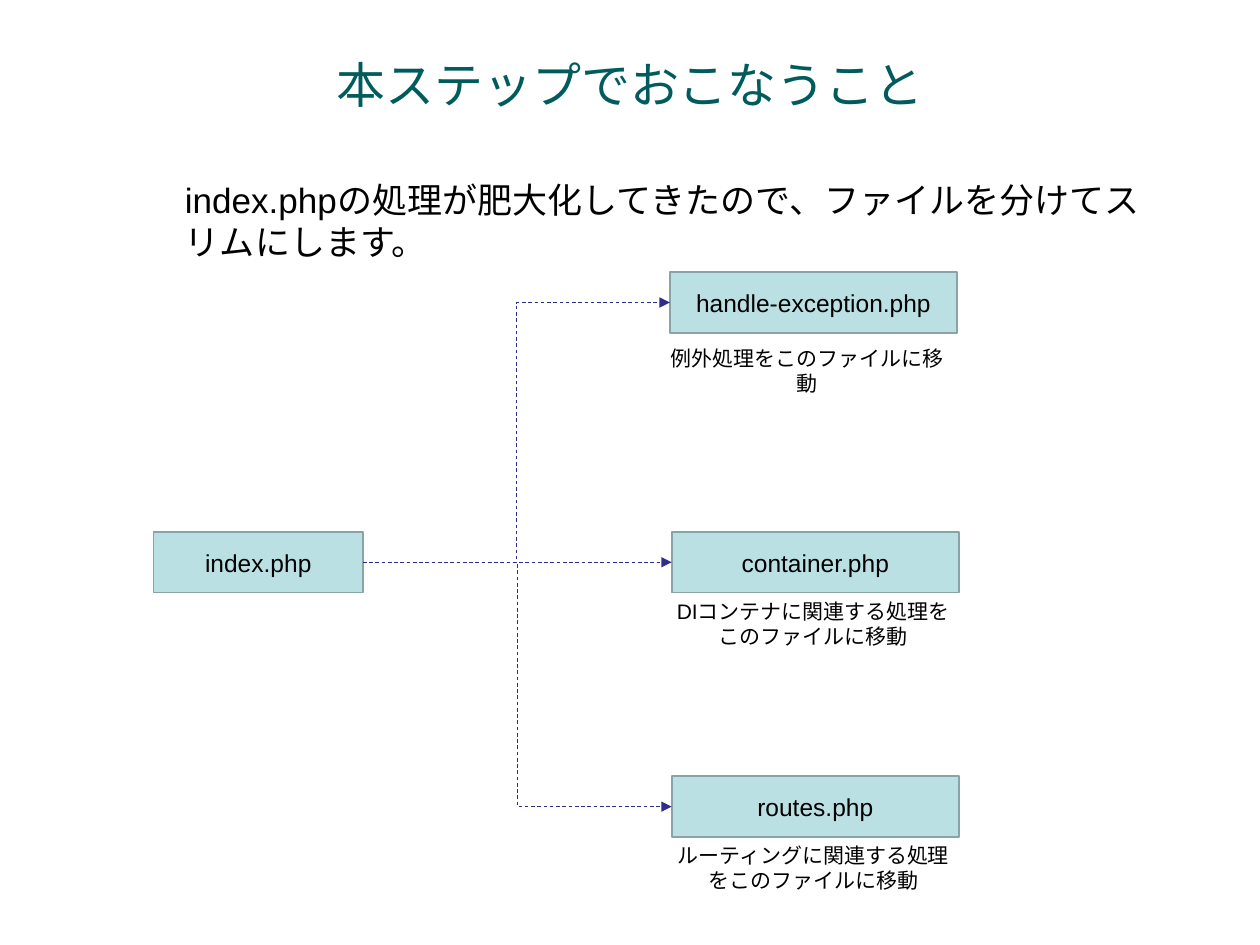
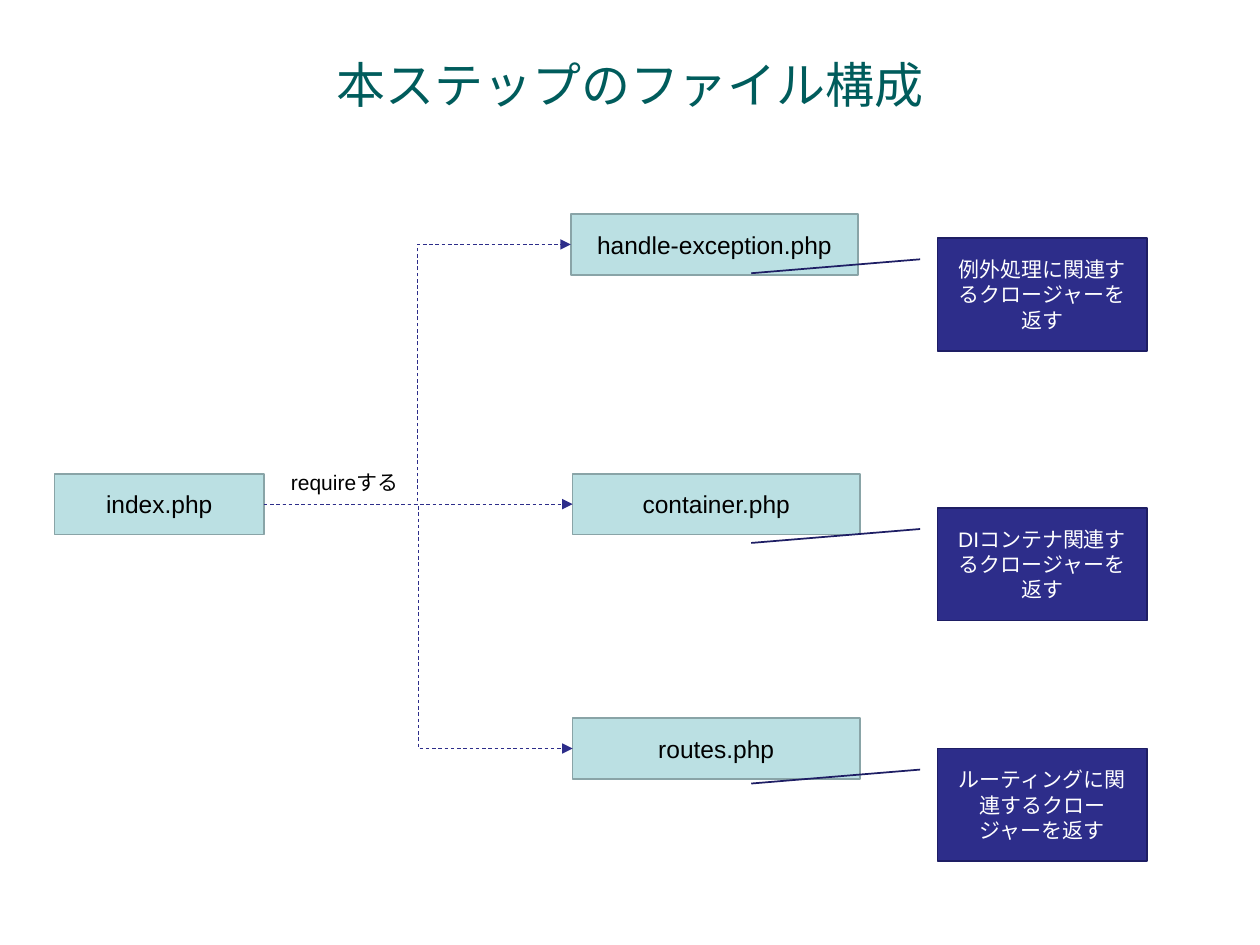
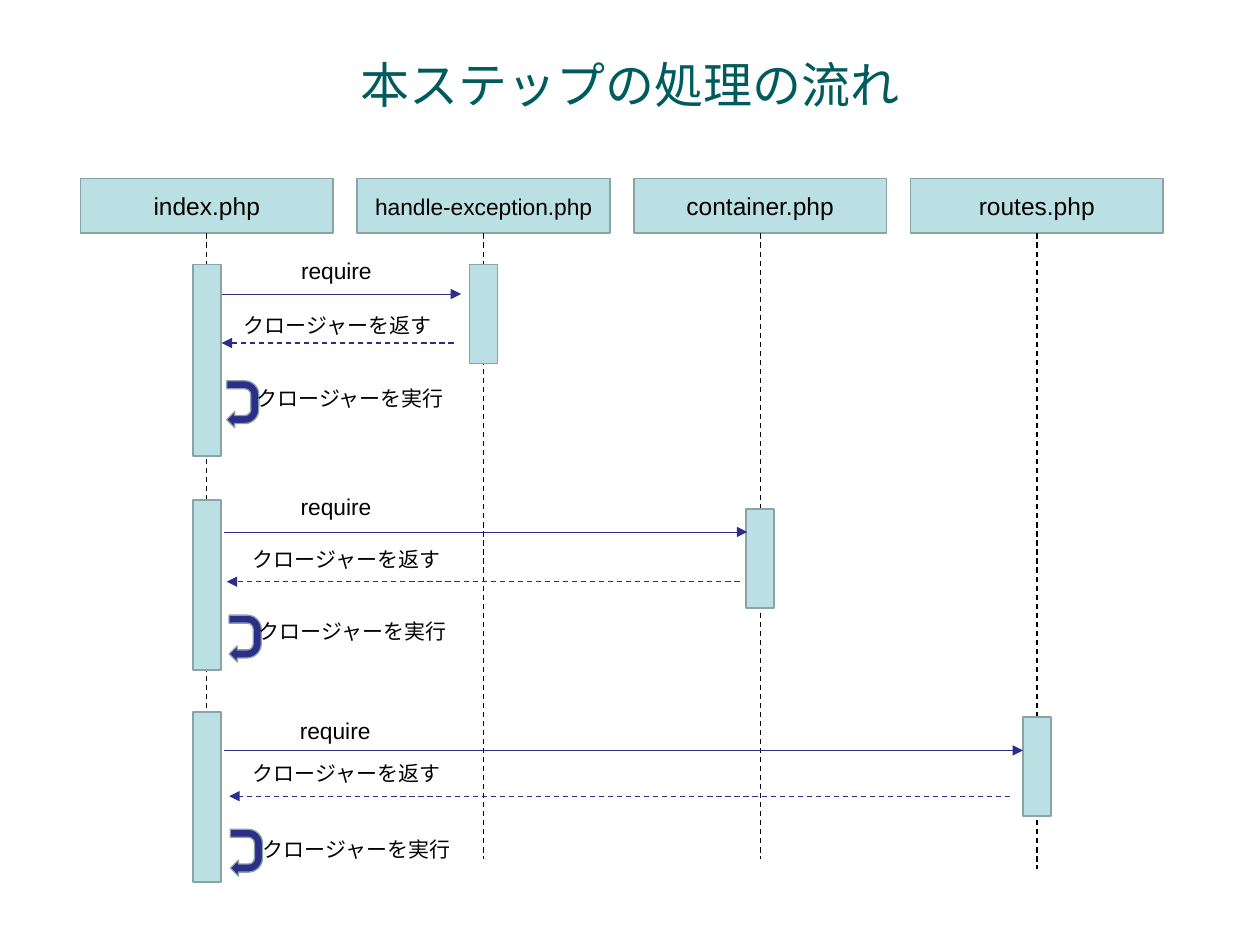
from dataclasses import dataclass

from pptx import Presentation
from pptx.dml.color import RGBColor
from pptx.enum.dml import MSO_LINE
from pptx.enum.shapes import MSO_CONNECTOR, MSO_SHAPE
from pptx.enum.text import MSO_ANCHOR, MSO_AUTO_SIZE, PP_ALIGN
from pptx.oxml.ns import qn
from pptx.shapes.autoshape import Shape
from pptx.shapes.connector import Connector
from pptx.slide import Slide
from pptx.text.text import TextFrame
from pptx.util import Pt
from lxml.etree import SubElement

COLORS = {
    "title": "005C5C",
    "text": "000000",
    "light": "FFFFFF",
    "box": "BBE0E3",
    "edge": "89A4A7",
    "navy": "2D2D8A",
    "rim": "1E1E64",
}
FONT = "Arial"
LEFT, RIGHT = 1, 3


@dataclass(frozen=True)
class Area:
    left: float
    top: float
    width: float
    height: float

    def lengths(self) -> tuple[Pt, Pt, Pt, Pt]:
        return Pt(self.left), Pt(self.top), Pt(self.width), Pt(self.height)


@dataclass(frozen=True)
class Branch:
    name: str
    right: float
    down: float


@dataclass(frozen=True)
class Note:
    text: str
    left: float
    top: float


@dataclass(frozen=True)
class Column:
    name: str
    size: float
    end: float


@dataclass(frozen=True)
class Call:
    column: int
    top: float
    height: float
    start: float
    ask: tuple[float, float, float]
    reply: tuple[float, float, float]
    labels: tuple[tuple[float, float], ...]
    loop: tuple[float, float]


BRANCHES = (
    Branch("handle-exception.php", 295, -148.4),
    Branch("container.php", 296, 0),
    Branch("routes.php", 296, 139.6),
)
CAPTIONS = (
    Note("例外処理をこのファイルに移動", 373.7, 193.7),
    Note("DIコンテナに関連する処理をこのファイルに移動", 377.3, 338.4),
    Note("ルーティングに関連する処理をこのファイルに移動", 377.3, 478.1),
)
CALLOUTS = (
    Note("例外処理に関連するクロージャーを返す", 535.7, 136.1),
    Note("DIコンテナ関連するクロージャーを返す", 535.7, 290.2),
    Note("ルーティングに関連するクロージャーを返す", 535.7, 427.7),
)
COLUMNS = (
    Column("index.php", 14, 491),
    Column("handle-exception.php", 13, 491),
    Column("container.php", 14, 491),
    Column("routes.php", 14, 496.8),
)
WORDS = (("require", 13), ("クロージャーを返す", 12), ("クロージャーを実行", 12))
CALLS = (
    Call(1, 151.2, 109.4, 151.2, (126.7, 263.5, 168), (259.2, 126.7, 196),
         ((120.2, 143.3), (121, 175), (128.2, 216.7)), (125.3, 221.8)),
    Call(2, 285.8, 97.2, 290.9, (128.2, 427, 304), (422.6, 129.6, 332.4),
         ((120, 278), (126, 309), (129.6, 350)), (126.7, 355.7)),
    Call(3, 406.8, 97.2, 409.7, (128.2, 584.6, 428.8), (577.4, 131, 455),
         ((119.5, 406), (126, 431.3), (131.8, 474.5)), (127.4, 478.1)),
)


def color(key: str) -> RGBColor:
    return RGBColor.from_string(COLORS[key])


def write(frame: TextFrame, text: str, size: float, key: str = "text",
          align: PP_ALIGN = PP_ALIGN.CENTER) -> None:
    frame.word_wrap = True
    frame.text = text
    para = frame.paragraphs[0]
    para.alignment = align
    para.font.name = FONT
    para.font.size = Pt(size)
    para.font.color.rgb = color(key)


def start(deck: Presentation, title: str) -> Slide:
    slide = deck.slides.add_slide(deck.slide_layouts[5])
    head = slide.shapes.title
    head.left, head.top, head.width, head.height = Area(54, 18, 612, 60).lengths()
    write(head.text_frame, title, 28, "title")
    head.text_frame.vertical_anchor = MSO_ANCHOR.MIDDLE
    return slide


def shape(slide: Slide, area: Area, kind: MSO_SHAPE = MSO_SHAPE.RECTANGLE,
          fill: str = "box", edge: str = "edge", width: float = 1) -> Shape:
    item = slide.shapes.add_shape(kind, *area.lengths())
    item.shadow.inherit = False
    item.fill.solid()
    item.fill.fore_color.rgb = color(fill)
    item.line.color.rgb = color(edge)
    item.line.width = Pt(width)
    item.text_frame.vertical_anchor = MSO_ANCHOR.MIDDLE
    return item


def box(slide: Slide, area: Area, text: str, size: float = 14) -> Shape:
    item = shape(slide, area)
    write(item.text_frame, text, size)
    return item


def label(slide: Slide, area: Area, text: str, size: float = 12,
          align: PP_ALIGN = PP_ALIGN.CENTER) -> None:
    frame = slide.shapes.add_textbox(*area.lengths()).text_frame
    write(frame, text, size, align=align)
    frame.auto_size = MSO_AUTO_SIZE.SHAPE_TO_FIT_TEXT


def link(slide: Slide, kind: MSO_CONNECTOR, ends: tuple[float, float, float, float],
         key: str = "navy", width: float = 0.5, dash: bool = True,
         arrow: bool = True) -> Connector:
    item = slide.shapes.add_connector(kind, *map(Pt, ends))
    item.line.color.rgb = color(key)
    item.line.width = Pt(width)
    if dash:
        item.line.dash_style = MSO_LINE.DASH
    if arrow:
        SubElement(item.line._get_or_add_ln(), qn("a:tailEnd"), type="triangle")
    SubElement(item._element.spPr, qn("a:effectLst"))
    return item


def tree(slide: Slide, left: float, top: float) -> None:
    width, height, span = 119.6, 34.6, 164.2
    root = box(slide, Area(left, top, width, height), "index.php")
    for branch in BRANCHES:
        area = Area(left + branch.right, top + branch.down, span, height)
        leaf = box(slide, area, branch.name)
        ends = (left + width, top + height / 2, area.left, area.top + height / 2)
        line = link(slide, MSO_CONNECTOR.ELBOW, ends)
        line.begin_connect(root, RIGHT)
        line.end_connect(leaf, LEFT)


def goals(deck: Presentation) -> None:
    slide = start(deck, "本ステップでおこなうこと")
    label(slide, Area(98.6, 98.6, 567.4, 55.4),
          "index.phpの処理が肥大化してきたので、ファイルを分けてスリムにします。",
          20, PP_ALIGN.LEFT)
    tree(slide, 87.8, 304)
    for note in CAPTIONS:
        label(slide, Area(note.left, note.top, 175, 36), note.text)


def files(deck: Presentation) -> None:
    slide = start(deck, "本ステップのファイル構成")
    tree(slide, 31.2, 270.8)
    label(slide, Area(149.8, 265, 94.3, 21.6), "requireする")
    for note in CALLOUTS:
        area = Area(note.left, note.top, 119.6, 64.4)
        item = shape(slide, area, MSO_SHAPE.LINE_CALLOUT_1, "navy", "rim")
        for index, value in enumerate((0.188, -0.083, 0.312, -0.89)):
            item.adjustments[index] = value
        write(item.text_frame, note.text, 12, "light")


def flow(deck: Presentation) -> None:
    slide = start(deck, "本ステップの処理の流れ")
    left, top, pitch, width, height, bar = 46, 102, 158.1, 144.4, 31.4, 16
    axes = [left + pitch * index + width / 2 for index in range(len(COLUMNS))]
    for axis, column in zip(axes, COLUMNS):
        box(slide, Area(axis - width / 2, top, width, height), column.name, column.size)
        link(slide, MSO_CONNECTOR.STRAIGHT, (axis, top + height, axis, column.end),
             "text", 0.75, arrow=False)
    for call in CALLS:
        shape(slide, Area(axes[0] - bar / 2, call.top, bar, call.height))
        shape(slide, Area(axes[call.column] - bar / 2, call.start, bar, 56.6))
        for (tail, tip, level), thick, dash in ((call.ask, 0.5, False),
                                                (call.reply, 0.75, True)):
            link(slide, MSO_CONNECTOR.STRAIGHT, (tail, level, tip, level),
                 width=thick, dash=dash)
        turn = shape(slide, Area(*call.loop, 26.8, 18.4), MSO_SHAPE.U_TURN_ARROW,
                     "navy", width=0)
        turn.rotation = 90
        turn.adjustments[4] = 1
        for (text, size), (x, y) in zip(WORDS, call.labels):
            label(slide, Area(x, y, 144, 22), text, size)


def main() -> None:
    deck = Presentation()
    deck.slide_width, deck.slide_height = Pt(720), Pt(540)
    for build in (goals, files, flow):
        build(deck)
    deck.save("out.pptx")


if __name__ == "__main__":
    main()
